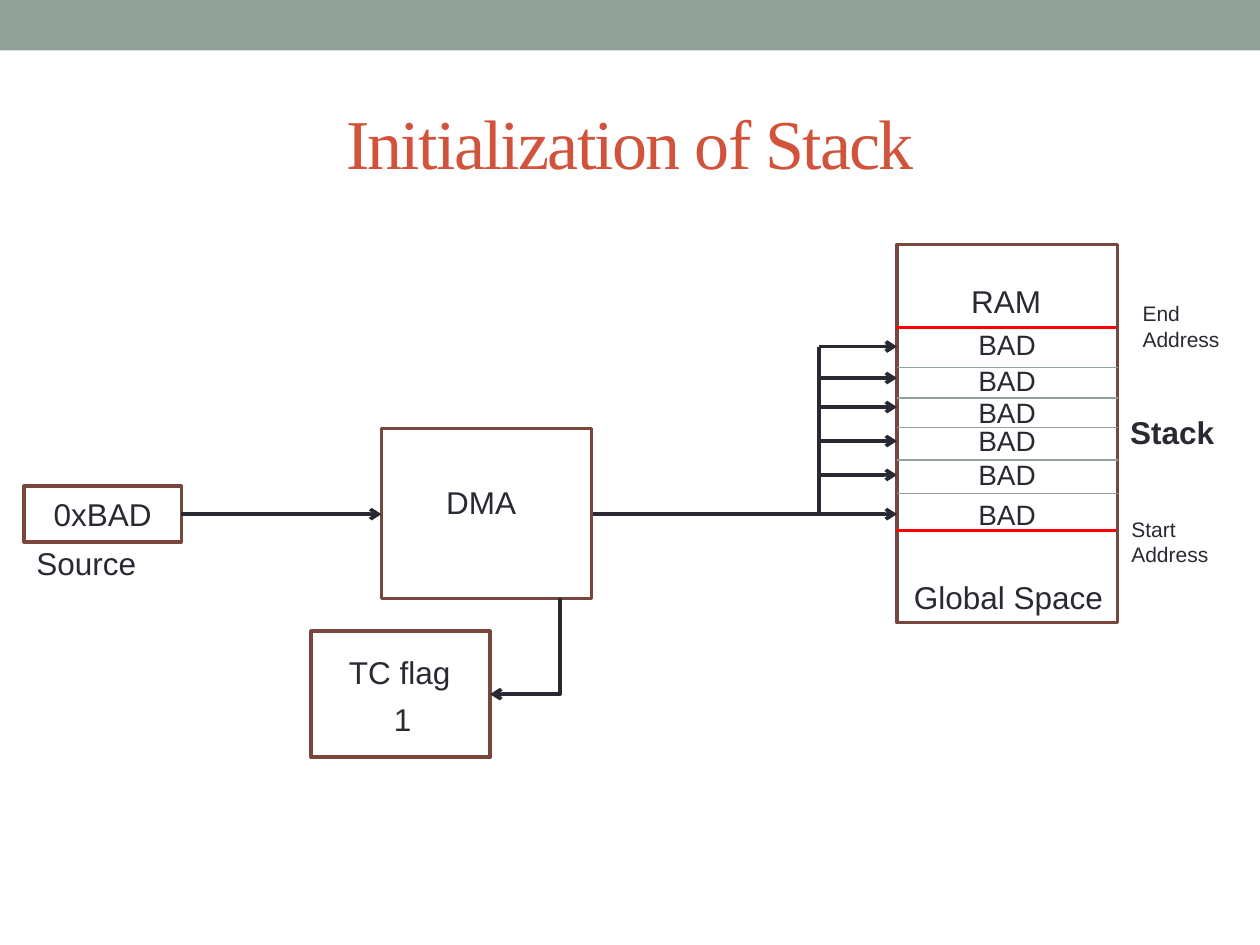
from itertools import pairwise

from lxml.etree import SubElement
from pptx import Presentation
from pptx.dml.color import RGBColor
from pptx.enum.shapes import MSO_CONNECTOR, MSO_SHAPE
from pptx.enum.text import MSO_ANCHOR, PP_ALIGN
from pptx.oxml.ns import qn
from pptx.util import Pt

HUES = {
    "band": "93A299", "title": "D2533C", "edge": "79463D",
    "mark": "FF0000", "ink": "292934", "paper": "FFFFFF",
}
MID, LEFT = PP_ALIGN.CENTER, PP_ALIGN.LEFT
THICK, THIN = 2.08, 0.75


def hue(name):
    """Return a named colour."""
    return RGBColor.from_string(HUES[name])


def add_text(frame, lines, size=18, align=MID, bold=False, font="Arial", color="ink"):
    """Write one paragraph per line and return the last run."""
    for i, line in enumerate(lines):
        para = frame.add_paragraph() if i else frame.paragraphs[0]
        para.alignment = align
        run = para.add_run()
        run.text = line
        run.font.size = Pt(size)
        run.font.name = font
        run.font.bold = bold
        run.font.color.rgb = hue(color)
    return run


def add_title(slide, text):
    """Place and format the title placeholder."""
    title = slide.shapes.title
    title.left, title.top, title.width, title.height = Pt(36), Pt(41.8), Pt(648), Pt(77.8)
    title.text_frame.vertical_anchor = MSO_ANCHOR.MIDDLE
    run = add_text(title.text_frame, [text], 40, font="Times New Roman", color="title")
    run.font._element.set("spc", "-100")


def add_box(slide, x, y, wide, high, fill="paper", line="edge"):
    """Draw a plain rectangle."""
    box = slide.shapes.add_shape(MSO_SHAPE.RECTANGLE, Pt(x), Pt(y), Pt(wide), Pt(high))
    box.shadow.inherit = False
    box.fill.solid()
    box.fill.fore_color.rgb = hue(fill)
    if line:
        box.line.color.rgb = hue(line)
        box.line.width = Pt(THICK)
    else:
        box.line.fill.background()
    return box


def add_label(slide, x, y, wide, high, *lines, **style):
    """Add a free text label."""
    box = slide.shapes.add_textbox(Pt(x), Pt(y), Pt(wide), Pt(high))
    box.text_frame.word_wrap = True
    add_text(box.text_frame, lines, **style)


def add_line(slide, x1, y1, x2, y2, color="ink", width=THICK, arrow=False,
             kind=MSO_CONNECTOR.STRAIGHT):
    """Draw a connector, with an arrowhead at its end if asked."""
    line = slide.shapes.add_connector(kind, Pt(x1), Pt(y1), Pt(x2), Pt(y2))
    line.line.color.rgb = hue(color)
    line.line.width = Pt(width)
    props = line._element.spPr
    if arrow:
        SubElement(props.find(qn("a:ln")), qn("a:tailEnd"), type="arrow")
    SubElement(props, qn("a:effectLst"))
    return line


def add_bend(slide, x1, y1, x2, y2):
    """Draw an arrow that runs down, then left."""
    down, across = y2 - y1, x1 - x2
    left, top = (x1 + x2 - down) / 2, (y1 + y2 - across) / 2
    bend = add_line(slide, left, top, left + down, top + across, arrow=True,
                    kind=MSO_CONNECTOR.ELBOW)
    props = bend._element.spPr
    props.find(qn("a:xfrm")).set("rot", "5400000")
    props.find(qn("a:prstGeom")).set("prst", "bentConnector2")


def add_ram(slide):
    """Draw the memory block with its stack cells."""
    add_box(slide, 512.6, 139.7, 126, 216)
    for y in (303.1, 187.2):
        add_line(slide, 512, y, 638, y, "mark")
    for y in (210.2, 227.5, 244.1, 262.8, 282.2):
        add_line(slide, 512.6, y, 638.6, y, "band", THIN)
    for y in (183.6, 204.5, 222.5, 238.3, 257.8, 280.8):
        add_label(slide, 542.5, y, 66, 26.6, "BAD", size=16)
    add_label(slide, 524, 157.7, 102, 29, "RAM")
    add_label(slide, 508.3, 326.9, 136, 29, "Global Space")
    add_label(slide, 627.8, 232.6, 84, 30, "Stack", bold=True)
    add_label(slide, 639.4, 291.6, 84, 36, "Start", "Address", size=12, align=LEFT)
    add_label(slide, 645.8, 168.5, 84, 36, "End", "Address", size=12, align=LEFT)


def add_bus(slide):
    """Draw the wires from the DMA block to each stack cell."""
    stem, taps = 468, (293.8, 271.4, 252, 232.6, 216, 198)
    add_line(slide, 338, taps[0], stem, taps[0])
    for y in taps:
        add_line(slide, stem, y, 512.6, y, arrow=True)
    for low, high in pairwise(taps):
        add_line(slide, stem, low, stem, high)


def main():
    """Build and save the slide."""
    deck = Presentation()
    deck.slide_width, deck.slide_height = Pt(720), Pt(540)
    slide = deck.slides.add_slide(deck.slide_layouts[5])
    add_box(slide, 0, 0, 720, 28.8, "band", None)
    add_title(slide, "Initialization of Stack")
    add_ram(slide)
    add_bus(slide)

    add_box(slide, 218, 244.8, 120, 97.2)
    add_label(slide, 239, 272.2, 72, 29, "DMA")

    add_label(slide, 13.7, 307.4, 138, 29, "Source", align=LEFT)
    source = add_box(slide, 13.7, 277.9, 90, 31.7)
    source.text_frame.vertical_anchor = MSO_ANCHOR.MIDDLE
    add_text(source.text_frame, ["0xBAD"])
    add_line(slide, 103.7, 293.8, 218, 293.8, arrow=True)

    add_box(slide, 177.8, 360.7, 102.2, 72)
    add_label(slide, 189.4, 369.4, 78, 29, "TC flag")
    add_label(slide, 218, 396.7, 42, 29, "1", align=LEFT)
    add_bend(slide, 320, 342, 280, 396.7)
    deck.save("out.pptx")


main()
